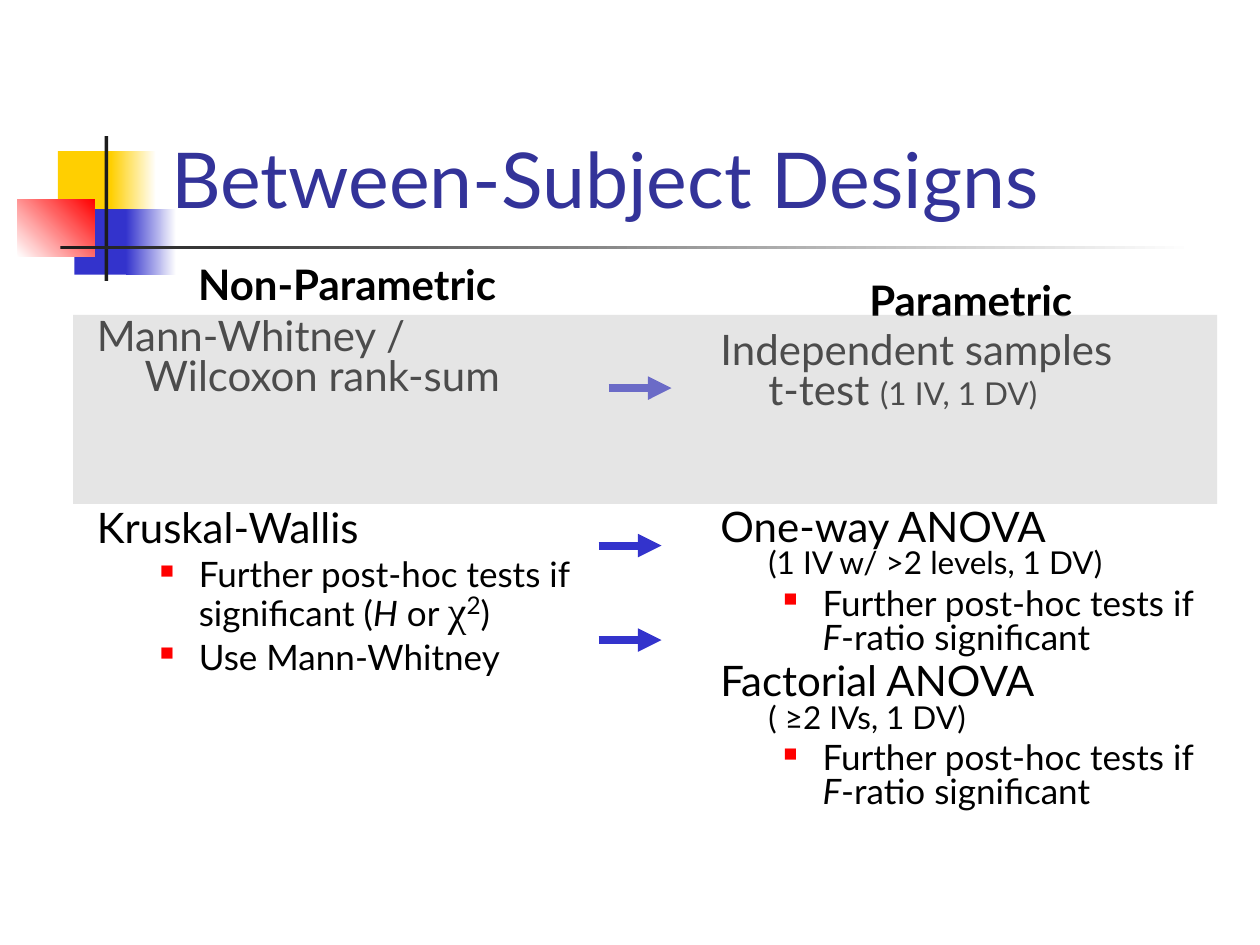
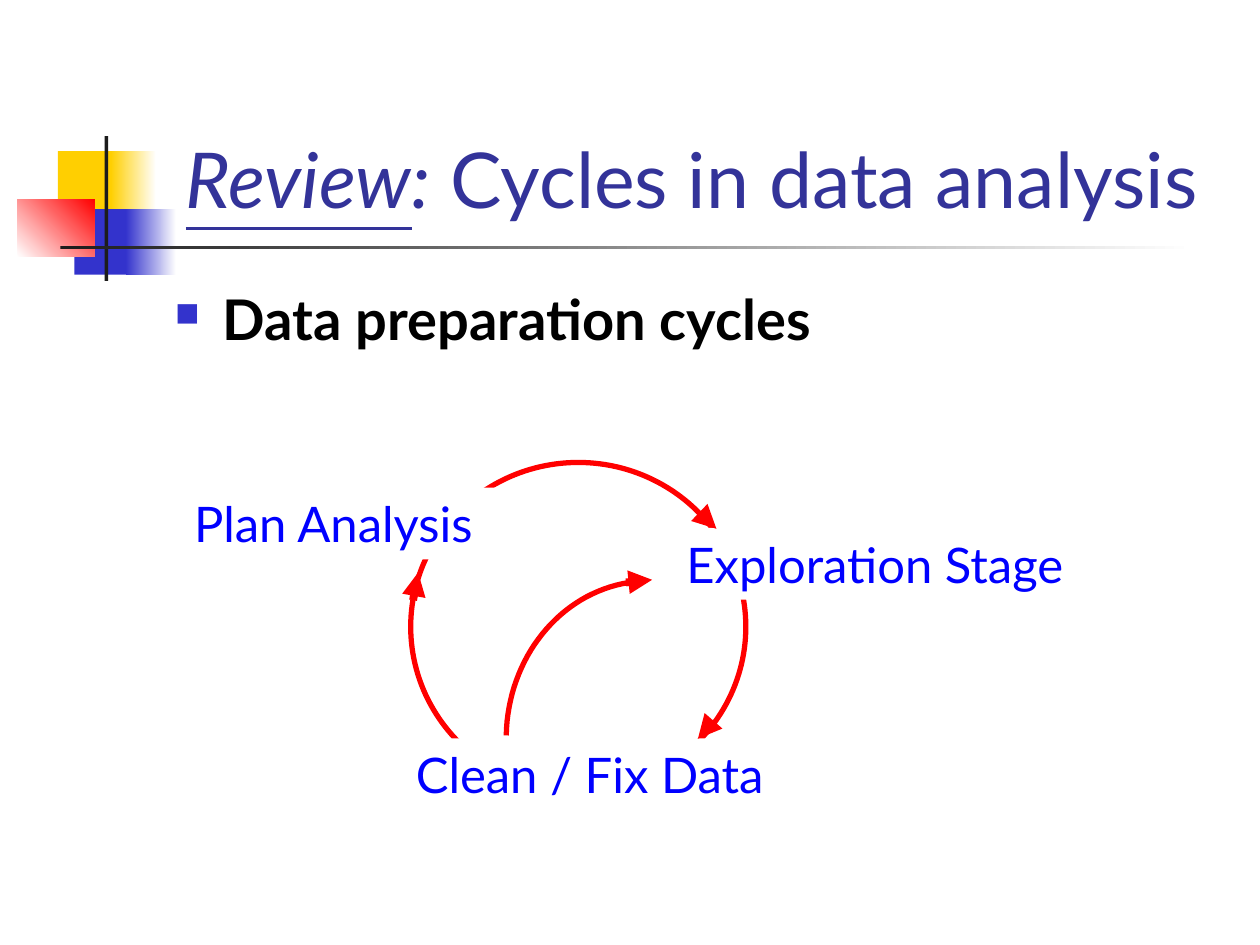
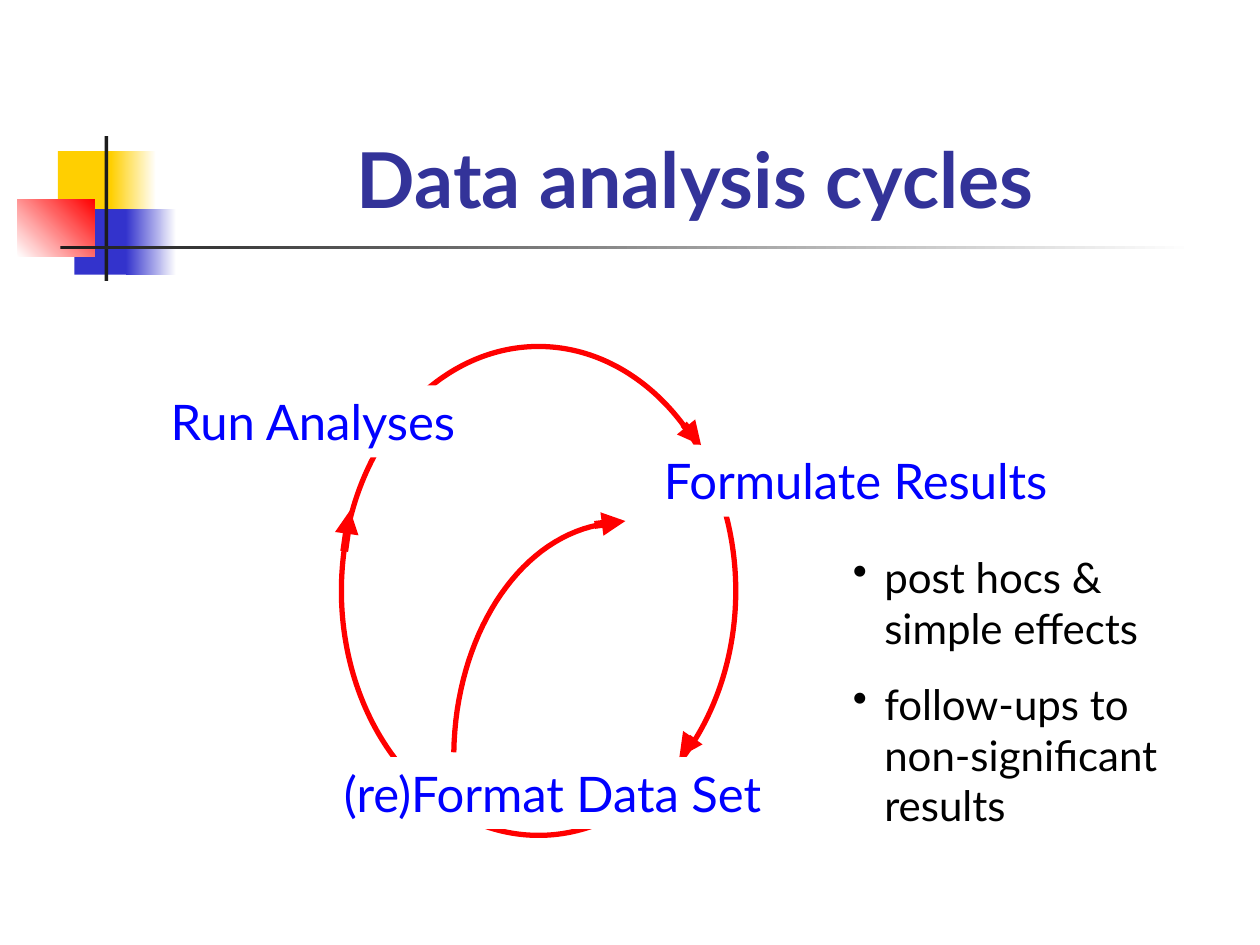
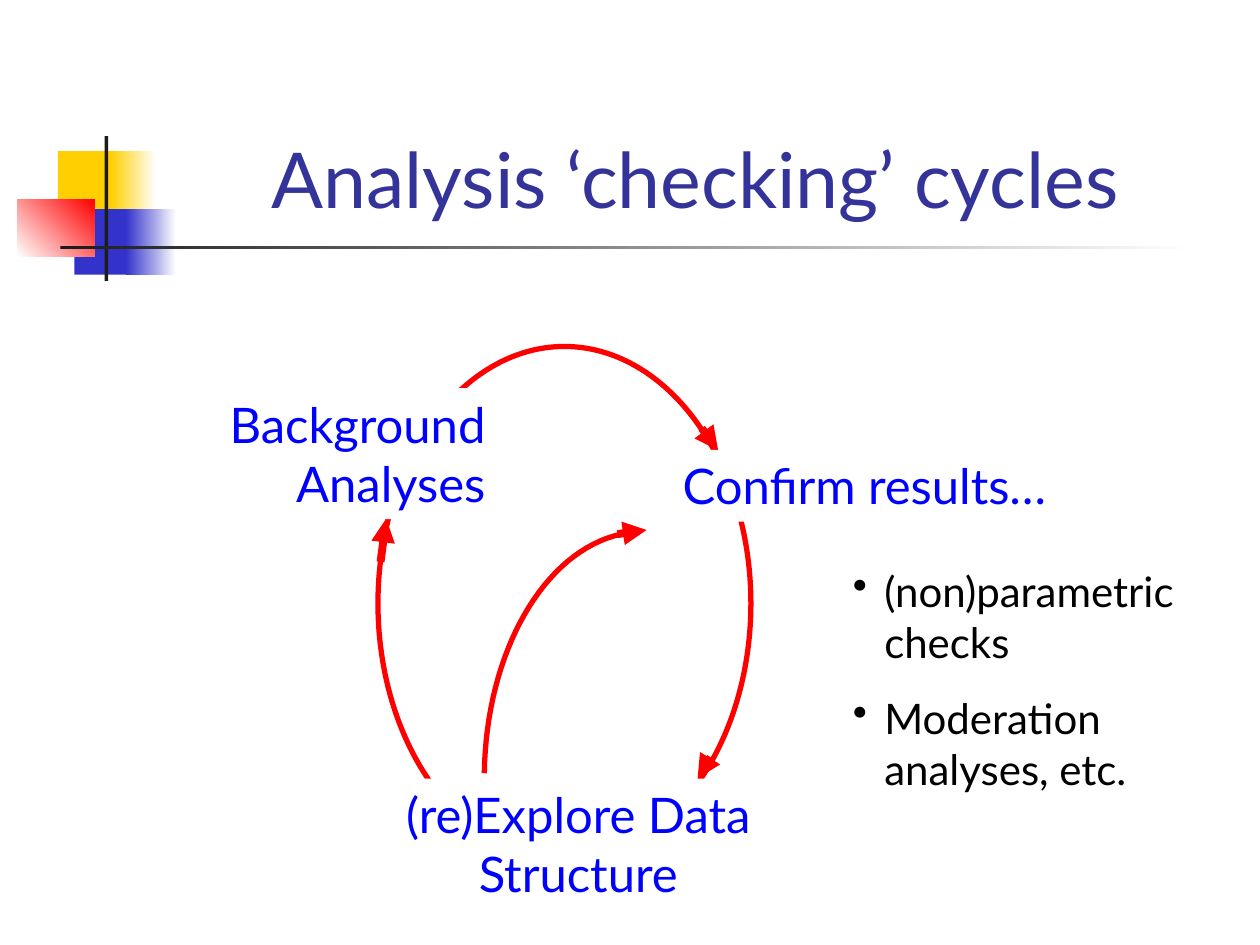
from lxml.etree import SubElement
from pptx import Presentation
from pptx.dml.color import RGBColor
from pptx.enum.shapes import MSO_CONNECTOR as LINE, MSO_SHAPE as SHAPE
from pptx.enum.text import MSO_ANCHOR as ANCHOR, MSO_AUTO_SIZE as FIT, PP_ALIGN as ALIGN
from pptx.oxml.ns import qn
from pptx.util import Inches, Pt

FONT = "Lato"
BLACK, WHITE, INK, GRAY = "000000", "FFFFFF", "1C1C1C", "C0C0C0"
NAVY, BLUE, INDIGO, RED, YELLOW = "333399", "0000FF", "3333CC", "FF0000", "FFCF01"

SUB_BULLET = dict(size=20, left=0.81, hang=0.31, bullet=("■", RED, 55), before=5, line=0.8, level=1)
NOTE_BULLET = dict(size=24, left=0.25, hang=0.25, bullet=("•", BLACK, 100))
ITEM = dict(size=24, left=0.38, hang=0.38, line=0.8)

# Percent of the ring's width and height
RING_ARROWS = [
    ((86.8, 15.9), (91.2, 20.2)),
    ((89.2, 79.9), (85.7, 84)),
    ((0.7, 41.9), (2.2, 33.5)),
    ((64.2, 36.5), (72, 35.7)),
]
INNER_ARC = [(65.2, 36.5), (44.4, 39.8), (29, 59.5), (28.5, 83)]


def rgb(hex_color):
    """Turn a hex string into a colour."""
    return RGBColor.from_string(hex_color)


def box(at):
    """Convert left, top, width and height to lengths."""
    return [Inches(v) for v in at]


def add_block(shapes, kind, at, fill=None, line=None):
    """Add a preset shape with an optional plain fill and outline."""
    sp = shapes.add_shape(kind, *box(at))
    sp.shadow.inherit = False
    if fill:
        sp.fill.solid()
        sp.fill.fore_color.rgb = rgb(fill)
    else:
        sp.fill.background()
    if line:
        sp.line.color.rgb = rgb(line)
        sp.line.width = Pt(3)
    else:
        sp.line.fill.background()
    return sp


def add_fade(shapes, at, start, end, angle=0):
    """Add a rectangle that fades from one colour to another."""
    sp = add_block(shapes, SHAPE.RECTANGLE, at)
    sp.fill.gradient()
    sp.fill.gradient_angle = angle
    for stop, color in zip(sp.fill.gradient_stops, (start, end)):
        stop.color.rgb = rgb(color)
    return sp


def decorate(layout, s):
    """Build the title ornament and move it into the layout."""
    sh = s.shapes
    parts = [
        add_block(sh, SHAPE.RECTANGLE, (0.46, 1.2, 0.48, 0.52), YELLOW),
        add_fade(sh, (0.88, 1.2, 0.36, 0.52), YELLOW, WHITE),
        add_block(sh, SHAPE.RECTANGLE, (0.59, 1.66, 0.46, 0.52), INDIGO),
        add_fade(sh, (1, 1.66, 0.4, 0.52), INDIGO, WHITE),
        add_fade(sh, (0.14, 1.58, 0.61, 0.46), WHITE, RED, 45),
        add_block(sh, SHAPE.RECTANGLE, (0.83, 1.08, 0.03, 1.15), INK),
        add_fade(sh, (0.48, 1.95, 9, 0.03), INK, WHITE),
    ]
    for number, sp in enumerate(parts, 20):
        sp.element.nvSpPr.cNvPr.id = number
        layout.shapes.element.append(sp.element)


def set_bullet(p, left, hang, bullet):
    """Give a paragraph its hanging indent and bullet."""
    pPr = p._p.get_or_add_pPr()
    pPr.set("marL", str(Inches(left)))
    pPr.set("indent", str(-Inches(hang)))
    if bullet:
        char, color, percent = bullet
        SubElement(SubElement(pPr, qn("a:buClr")), qn("a:srgbClr")).set("val", color)
        SubElement(pPr, qn("a:buSzPct")).set("val", str(percent * 1000))
        SubElement(pPr, qn("a:buChar")).set("char", char)


def add_run(p, text, size, color, font=FONT, bold=False, italic=False, underline=False, base=0):
    """Add one formatted run."""
    r = p.add_run()
    r.text = text
    r.font.name, r.font.size = font, Pt(size)
    r.font.bold, r.font.italic, r.font.underline = bold, italic, underline
    r.font.color.rgb = rgb(color)
    if base:
        r.font._element.set("baseline", str(base * 1000))


def write(tf, pieces, size, color=BLACK, align=None, left=0, hang=0, bullet=None,
          before=None, line=None, level=0):
    """Write a paragraph from (text, style) pieces; a newline breaks the line."""
    p = tf.paragraphs[0]
    if p.runs:
        p = tf.add_paragraph()
    if left:
        set_bullet(p, left, hang, bullet)
    p.level = level
    if align is not None:
        p.alignment = align
    if before:
        p.space_before = Pt(before)
    if line:
        p.line_spacing = line
    for text, style in pieces:
        for i, part in enumerate(text.split("\n")):
            if i:
                p.add_line_break()
            if part:
                add_run(p, part, **{"size": size, "color": color, **style})


def add_text(s, at):
    """Add a wrapping text box and return its frame."""
    tf = s.shapes.add_textbox(*box(at)).text_frame
    tf.word_wrap = True
    return tf


def add_slide(prs, pieces, align=ALIGN.CENTER, at=(1.26, 0.23, 8.52, 1.6)):
    """Add a slide with its formatted title."""
    s = prs.slides.add_slide(prs.slide_layouts[5])
    title = s.shapes.title
    title.left, title.top, title.width, title.height = box(at)
    tf = title.text_frame
    tf.word_wrap, tf.auto_size, tf.vertical_anchor = True, FIT.NONE, ANCHOR.BOTTOM
    write(tf, pieces, 44, NAVY, align)
    return s


def add_arrow(shapes, start, end, color):
    """Add a straight arrow between two points."""
    cx = shapes.add_connector(LINE.STRAIGHT, *box(start), *box(end))
    cx.line.color.rgb = rgb(color)
    cx.line.width = Pt(4.5)
    SubElement(cx.line._get_or_add_ln(), qn("a:tailEnd")).set("type", "triangle")
    SubElement(cx.element.spPr, qn("a:effectLst"))


def add_curve(shapes, points, steps=32):
    """Draw an open cubic curve through its four control points."""
    def at(t):
        weights = ((1 - t) ** 3, 3 * t * (1 - t) ** 2, 3 * t * t * (1 - t), t ** 3)
        return tuple(Inches(sum(w * p[axis] for w, p in zip(weights, points))) for axis in (0, 1))

    fb = shapes.build_freeform(*at(0))
    fb.add_line_segments([at(i / steps) for i in range(1, steps + 1)], close=False)
    sp = fb.convert_to_shape()
    sp.shadow.inherit = False
    sp.fill.background()
    sp.line.color.rgb = rgb(RED)
    sp.line.width = Pt(3)


def add_cycle(s, ring, labels):
    """Draw a ring with its labels, arrowheads and inner arc."""
    left, top, width, height = ring
    shapes = s.shapes.add_group_shape().shapes

    def on_ring(point):
        return left + width * point[0] / 100, top + height * point[1] / 100

    add_block(shapes, SHAPE.OVAL, ring, line=RED)
    for text, at, align in labels:
        tf = add_block(shapes, SHAPE.RECTANGLE, at, WHITE).text_frame
        tf.word_wrap, tf.auto_size, tf.vertical_anchor = True, FIT.SHAPE_TO_FIT_TEXT, ANCHOR.TOP
        write(tf, [(text, {})], 28, BLUE, align)
    add_curve(shapes, [on_ring(point) for point in INNER_ARC])
    for start, end in RING_ARROWS:
        add_arrow(shapes, on_ring(start), on_ring(end), RED)


def add_notes(s, at, notes):
    """List the remarks beside a cycle."""
    tf = add_text(s, at)
    tf.auto_size = FIT.SHAPE_TO_FIT_TEXT
    for i, note in enumerate(notes):
        write(tf, [(note, {})], before=15 if i else None, **NOTE_BULLET)


def designs_slide(prs):
    """Compare non-parametric and parametric tests."""
    s = add_slide(prs, [("Between-Subject Designs", {})], ALIGN.LEFT)
    italic, small = {"italic": True}, {"size": 18}
    f_ratio = [("Further post-hoc tests if ", {}), ("F", italic), ("-ratio significant", {})]

    tf = add_text(s, (0.67, 2.08, 4.17, 4.5))
    write(tf, [("Non-Parametric", {"bold": True})], align=ALIGN.CENTER, **ITEM)
    write(tf, [("Mann-Whitney /\nWilcoxon rank-sum", {})], before=6, **ITEM)
    write(tf, [("Kruskal-Wallis", {})], before=64, **ITEM)
    write(tf, [("Further post-hoc tests if significant (", {}), ("H", italic), (" or ", {}),
               ("χ", {"size": 24, "font": "Times New Roman"}), ("2", {"size": 24, "base": 30}),
               (")", {})], **SUB_BULLET)
    write(tf, [("Use Mann-Whitney", {})], **SUB_BULLET)

    tf = add_text(s, (5.62, 2.21, 4.17, 4.5))
    write(tf, [("Parametric", {"bold": True})], align=ALIGN.CENTER, **ITEM)
    write(tf, [("Independent samples\nt-test ", {}), ("(1 IV, 1 DV)", small)], before=4.5, **ITEM)
    write(tf, [("One-way ANOVA\n", {}), ("(1 IV w/ >2 levels, 1 DV)", small)], before=55.3, **ITEM)
    write(tf, f_ratio, **SUB_BULLET)
    write(tf, [("Factorial ANOVA\n", {}), ("( ≥2 IVs, 1 DV)", small)], before=4.5, **ITEM)
    write(tf, f_ratio, **SUB_BULLET)

    for x, y in ((4.83, 3.08), (4.75, 4.33), (4.75, 5.08)):
        add_arrow(s.shapes, (x, y), (x + 0.5, y), INDIGO)
    veil = add_block(s.shapes, SHAPE.RECTANGLE, (0.58, 2.5, 9.08, 1.5), GRAY)
    color = veil.element.spPr.find(".//" + qn("a:srgbClr"))
    SubElement(color, qn("a:alpha")).set("val", "40000")
    return s


def preparation_slide(prs):
    """Show the data preparation cycle."""
    s = add_slide(prs, [("Review", {"italic": True, "underline": True}), (":", {"italic": True}),
                        (" Cycles in data analysis ", {})], at=(1.22, 0.23, 8.7, 1.6))
    write(add_text(s, (1.29, 2.21, 8.5, 4.5)), [("Data preparation cycles", {"bold": True})], 32,
          left=0.38, hang=0.38, bullet=("■", INDIGO, 60))
    add_cycle(s, (3.26, 3.67, 2.66, 2.61), [
        ("Exploration Stage", (5.35, 4.19, 3.9, 0.57), ALIGN.LEFT),
        ("Clean / Fix Data", (2.78, 5.86, 3.8, 0.57), ALIGN.CENTER),
        ("Plan Analysis", (1.17, 3.87, 2.95, 0.57), ALIGN.CENTER),
    ])


def analysis_slide(prs):
    """Show the data analysis cycle."""
    s = add_slide(prs, [("Data analysis cycles", {"bold": True})])
    add_cycle(s, (2.71, 2.75, 3.13, 3.88), [
        ("Formulate Results", (5.17, 3.53, 4.58, 0.57), ALIGN.LEFT),
        ("(re)Format Data Set", (2.15, 6.01, 4.47, 0.57), ALIGN.CENTER),
        ("Run Analyses", (0.25, 3.06, 3.46, 0.57), ALIGN.RIGHT),
    ])
    add_notes(s, (6.67, 4.33, 2.83, 2.31),
              ["post hocs & simple effects", "follow-ups to non-significant results"])


def checking_slide(prs):
    """Show the cycle of checking an analysis."""
    s = add_slide(prs, [("Analysis ‘checking’ cycles", {})])
    add_cycle(s, (3, 2.75, 2.96, 4.08), [
        ("Confirm results…", (5.32, 3.57, 4.34, 0.57), ALIGN.LEFT),
        ("(re)Explore Data Structure", (2.47, 6.18, 4.24, 1.04), ALIGN.CENTER),
        ("Background Analyses", (0.67, 3.08, 3.28, 1.04), ALIGN.RIGHT),
    ])
    add_notes(s, (6.67, 4.44, 2.83, 1.91),
              ["(non)parametric checks", "Moderation analyses, etc."])


def main():
    """Build and save the presentation."""
    prs = Presentation()
    prs.slide_width, prs.slide_height = Inches(10), Inches(7.5)
    s = designs_slide(prs)
    decorate(s.slide_layout, s)
    preparation_slide(prs)
    analysis_slide(prs)
    checking_slide(prs)
    prs.save("out.pptx")


if __name__ == "__main__":
    main()
